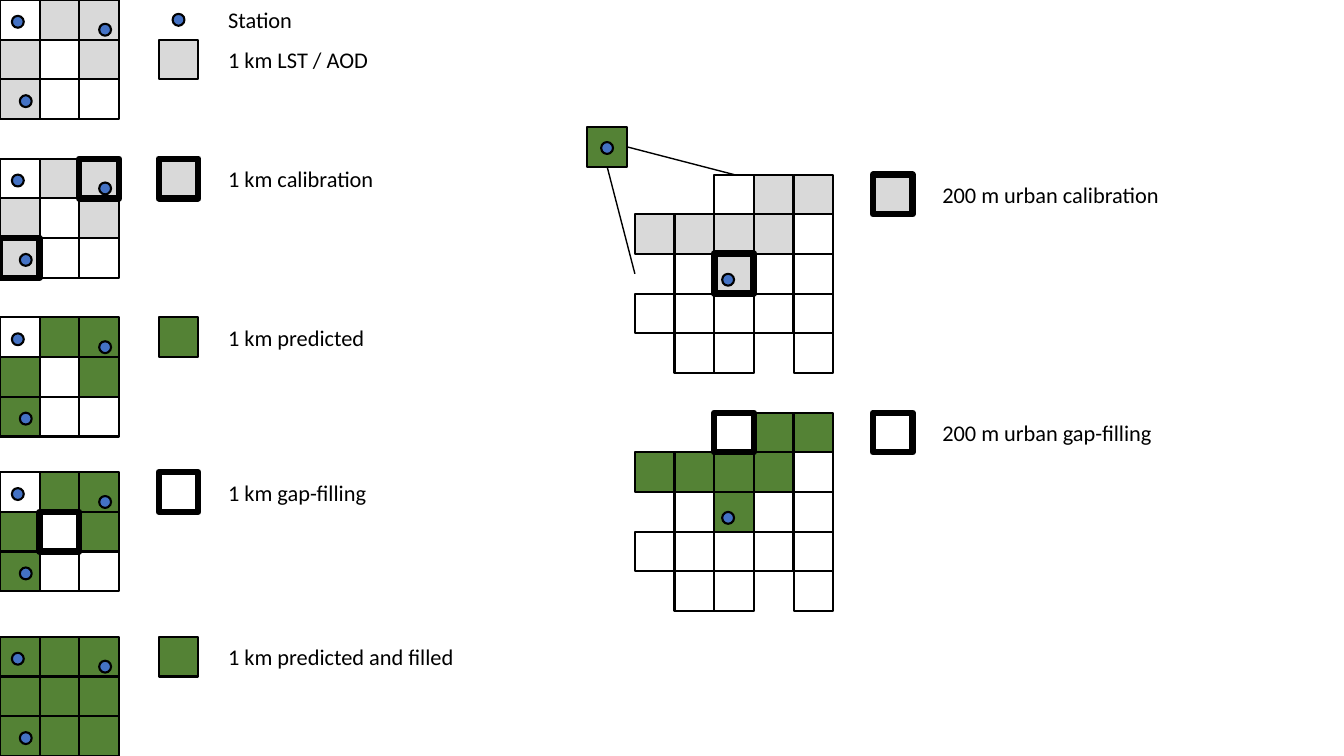
from dataclasses import dataclass

from lxml.etree import SubElement
from pptx import Presentation
from pptx.dml.color import RGBColor
from pptx.enum.shapes import MSO_CONNECTOR as Link, MSO_SHAPE as Form
from pptx.enum.text import MSO_ANCHOR as Anchor, MSO_AUTO_SIZE as AutoSize
from pptx.oxml.ns import qn
from pptx.util import Cm, Pt


@dataclass(frozen=True)
class Theme:
    font: str = "Calibri"
    label_size: float = 16
    ink: str = "000000"
    empty: str = "FFFFFF"
    observed: str = "D9D9D9"
    predicted: str = "548235"
    station: str = "4472C4"
    thin: float = 1
    regular: float = 1.5
    heavy: float = 4.5
    heaviest: float = 5


theme = Theme()

# Lengths are in centimetres
CELL = 1
DOT = 0.3
LABEL_HEIGHT = 0.94

# Cell codes: fill and outline weight; capitals are highlighted cells
STYLES = {
    "w": (theme.empty, theme.regular),
    "g": (theme.observed, theme.regular),
    "p": (theme.predicted, theme.regular),
    "W": (theme.empty, theme.heavy),
    "G": (theme.observed, theme.heavy),
    "U": (theme.observed, theme.heaviest),
}

# Station positions relative to the grid corner
REGION_STATIONS = [(0.3, 0.4), (2.5, 0.6), (0.5, 2.4)]
URBAN_STATIONS = [(2.2, 2.5)]

# Left, top, cell rows, stations, legend entries (code, row, label, width)
PANELS = [
    (0, 0, ["wgg", "gwg", "gww"], REGION_STATIONS,
     [("station", 0, "Station", 2.16), ("g", 1, "1 km LST / AOD", 4.1)]),
    (0, 8, ["wpp", "pwp", "pww"], REGION_STATIONS,
     [("p", 0, "1 km predicted", 4)]),
    (0, 16.05, ["ppp", "ppp", "ppp"], REGION_STATIONS,
     [("p", 0, "1 km predicted and filled", 6.25)]),
    (16, 4.4, ["..wgg", "ggggw", ".wUww", "wwwww", ".ww.w"], URBAN_STATIONS,
     [("G", 0, "200 m urban calibration", 6.02)]),
    (0, 4, ["wgG", "gwg", "Gww"], REGION_STATIONS,
     [("G", 0, "1 km calibration", 4.3)]),
    (16, 10.4, ["..Wpp", "ppppw", ".wpww", "wwwww", ".ww.w"], URBAN_STATIONS,
     [("W", 0, "200 m urban gap-filling", 5.8)]),
    (0, 11.9, ["wpp", "pWp", "pww"], REGION_STATIONS,
     [("W", 0, "1 km gap-filling", 4.04)]),
]


def add_mark(group, left, top, code):
    """Add a grid cell, or a round station marker."""
    if code == "station":
        form, size, fill, weight = Form.OVAL, DOT, theme.station, theme.regular
    else:
        form, size = Form.RECTANGLE, CELL
        fill, weight = STYLES[code]
    mark = group.shapes.add_shape(form, Cm(left), Cm(top), Cm(size), Cm(size))
    mark.shadow.inherit = False
    mark.fill.solid()
    mark.fill.fore_color.rgb = RGBColor.from_string(fill)
    mark.line.color.rgb = RGBColor.from_string(theme.ink)
    mark.line.width = Pt(weight)
    return mark


def add_label(group, left, middle, width, text):
    """Add a one-line legend label centred on a height."""
    box = group.shapes.add_textbox(
        Cm(left), Cm(middle - LABEL_HEIGHT / 2), Cm(width), Cm(LABEL_HEIGHT))
    frame = box.text_frame
    frame.text = text
    frame.word_wrap = False
    frame.auto_size = AutoSize.SHAPE_TO_FIT_TEXT
    frame.vertical_anchor = Anchor.MIDDLE
    font = frame.paragraphs[0].runs[0].font
    font.name = theme.font
    font.size = Pt(theme.label_size)
    font.color.rgb = RGBColor.from_string(theme.ink)


deck = Presentation()
deck.slide_width, deck.slide_height = Cm(33.87), Cm(19.05)
page = deck.slides.add_slide(deck.slide_layouts[6])

# Grids with their legends, one group each
groups = []
for left, top, rows, stations, legend in PANELS:
    group = page.shapes.add_group_shape()
    groups.append(group)

    # Highlighted cells come last so that their outlines stay whole
    cells = [(code, column, row) for row, codes in enumerate(rows)
             for column, code in enumerate(codes) if code != "."]
    for code, column, row in sorted(cells, key=lambda cell: STYLES[cell[0]][1]):
        add_mark(group, left + column * CELL, top + row * CELL, code)
    for across, down in stations:
        add_mark(group, left + across, top + down, "station")

    key_left = left + (len(rows[0]) + 1) * CELL
    for code, row, text, width in legend:
        key_top = top + row * CELL
        inset = (CELL - DOT) / 2 if code == "station" else 0
        add_mark(group, key_left + inset, key_top + inset, code)
        add_label(group, key_left + 1.5, key_top + CELL / 2, width, text)

# Predicted 1 km cell that opens into the urban calibration grid
urban = groups[3]
source_cell = add_mark(urban, 14.8, 3.2, "p")
add_mark(urban, 15.15, 3.58, "station")
for site, end_x, end_y in [(2, 16, 6.9), (3, 18.5, 4.4)]:
    line = urban.shapes.add_connector(
        Link.STRAIGHT, Cm(15.3), Cm(3.7), Cm(end_x), Cm(end_y))
    line.begin_connect(source_cell, site)
    line.line.color.rgb = RGBColor.from_string(theme.ink)
    line.line.width = Pt(theme.thin)
    SubElement(line.element.spPr, qn("a:effectLst"))

deck.save("out.pptx")
